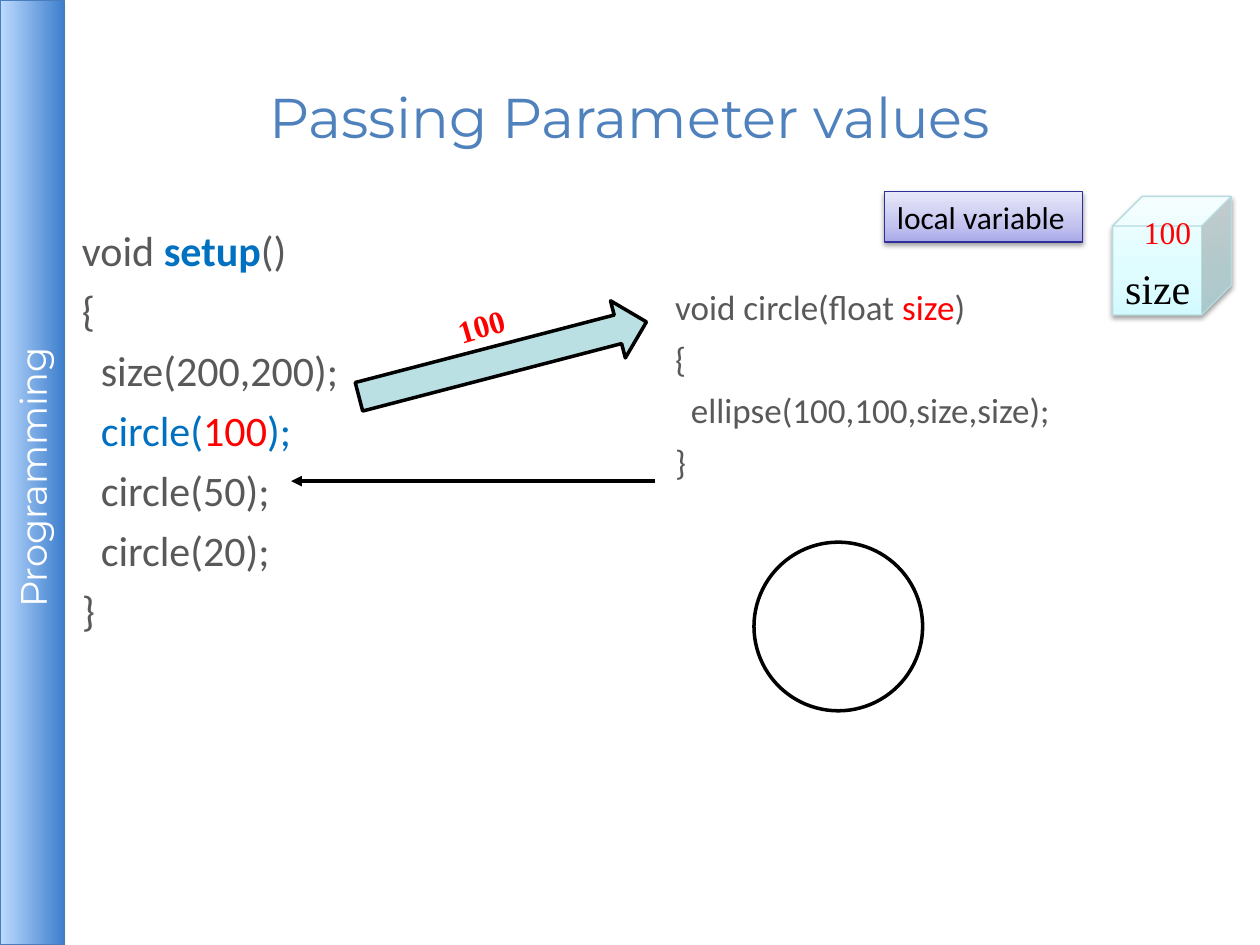
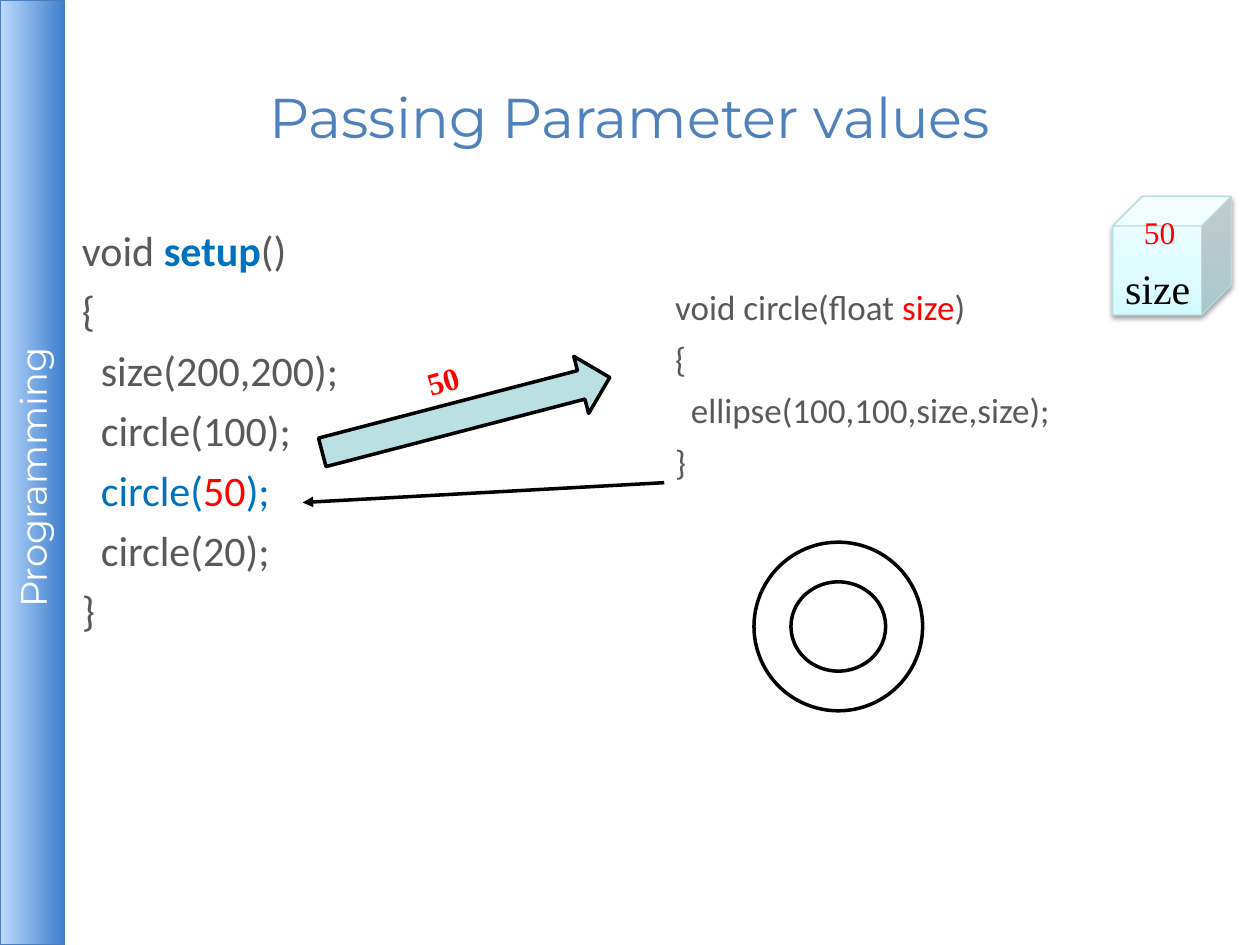
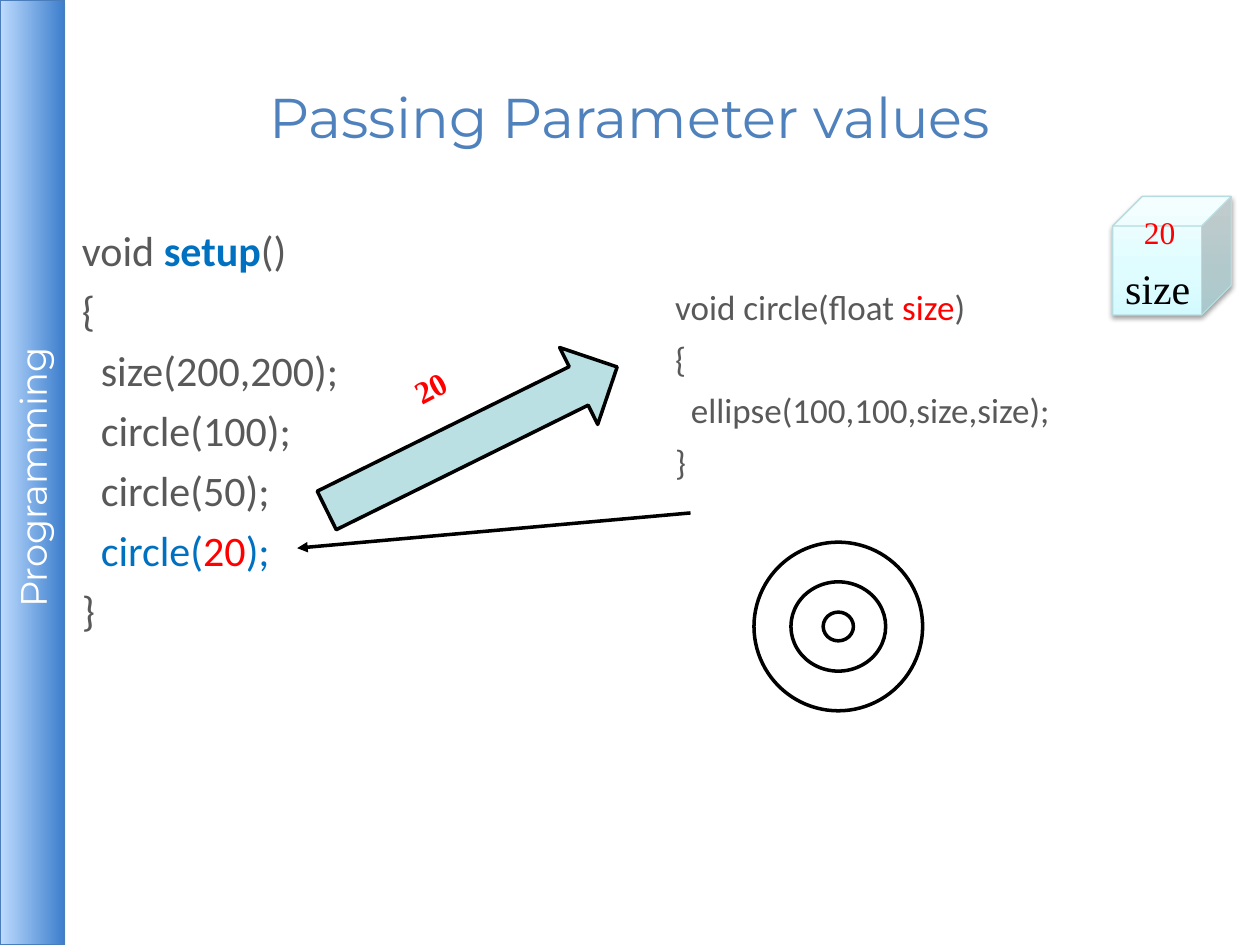
"""Build three slides that show how a parameter value reaches a function."""
from lxml import etree
from pptx import Presentation
from pptx.dml.color import RGBColor
from pptx.enum.shapes import MSO_CONNECTOR, MSO_SHAPE
from pptx.enum.text import MSO_ANCHOR, PP_ALIGN
from pptx.oxml.ns import qn
from pptx.util import Cm, Pt

RECT, CUBE = MSO_SHAPE.RECTANGLE, MSO_SHAPE.CUBE
OVAL, ARROW = MSO_SHAPE.OVAL, MSO_SHAPE.RIGHT_ARROW
LINE = MSO_CONNECTOR.STRAIGHT
TOP, MIDDLE = MSO_ANCHOR.TOP, MSO_ANCHOR.MIDDLE
LEFT, CENTER = PP_ALIGN.LEFT, PP_ALIGN.CENTER

BLACK = RGBColor(0x00, 0x00, 0x00)
WHITE = RGBColor(0xFF, 0xFF, 0xFF)
GREY = RGBColor(0x59, 0x59, 0x59)
RED = RGBColor(0xFF, 0x00, 0x00)
BLUE = RGBColor(0x00, 0x70, 0xC0)
TITLE = RGBColor(0x4F, 0x81, 0xBD)
TEAL = RGBColor(0xBB, 0xE0, 0xE3)
BAND_EDGE = RGBColor(0x4A, 0x7D, 0xBB)
CUBE_EDGE = RGBColor(0xB6, 0xDC, 0xDF)
NOTE_EDGE = RGBColor(0x2F, 0x2F, 0x98)

BAND_FILL = [(0, "BDDBFE"), (100, "3E7FCD")]
CUBE_FILL = [(0, "D3FBFF"), (35, "DFFCFF"), (100, "F2FEFF")]
NOTE_FILL = [(0, "A9A9E9"), (35, "C4C4EF"), (100, "E8E8FA")]

HEAD, CODE, SERIF = "Montserrat", "Calibri", "Times New Roman"
TIGHT = (0.1, 0.1)
LOOSE = (0.25, 0.13)

CALLS = ["100", "50", "20"]
FUNCTION = [
    [("void circle(float ", GREY), ("size", RED), (")", GREY)],
    [("{", GREY)],
    [("  ellipse(100,100,size,size);", GREY)],
    [("}", GREY)],
]
HUB = (16.9, 12.63)
RINGS = [(3.4, 3.4), (1.91, 1.8), (0.61, 0.58)]
STEPS = [
    {"value": "100", "wide": 1.47, "note": "local variable",
     "arrow": (7.14, 6.65, 5.99, 1.19), "turn": 345.4,
     "label": (8.97, 6.05, 1.47, 1.02), "tilt": 343.8,
     "back": (13.21, 9.7, 5.87, 9.7)},
    {"value": "50", "wide": 1.14, "note": None,
     "arrow": (6.4, 7.77, 5.99, 1.19), "turn": 345.4,
     "label": (8.36, 7.16, 1.14, 1.02), "tilt": 343.8,
     "back": (13.39, 9.73, 6.1, 10.13)},
    {"value": "20", "wide": 1.14, "note": None,
     "arrow": (6.25, 7.98, 6.53, 1.73), "turn": 333.7,
     "label": (8.2, 7.24, 1.24, 1.47), "tilt": 332,
     "back": (13.92, 10.34, 5.99, 11.05)},
]


def write(shape, lines, font, size, pad=TIGHT, align=LEFT, anchor=TOP,
          wrap=True, bold=False):
    frame = shape.text_frame
    frame.word_wrap = wrap
    frame.vertical_anchor = anchor
    frame.margin_left = frame.margin_right = Cm(pad[0])
    frame.margin_top = frame.margin_bottom = Cm(pad[1])
    for row, parts in enumerate(lines):
        para = frame.add_paragraph() if row else frame.paragraphs[0]
        para.alignment = align
        if row:
            para.space_before = Pt(5.5)
        for text, color, *strong in parts:
            run = para.add_run()
            run.text = text
            run.font.name = font
            run.font.size = Pt(size)
            run.font.bold = bold or bool(strong)
            run.font.color.rgb = color


def box(slide, at, lines, font, size, turn=0, **style):
    shape = slide.shapes.add_textbox(*map(Cm, at))
    shape.rotation = turn
    write(shape, lines, font, size, **style)


def tag(slide, at, text, color, size=18, turn=0, bold=False):
    box(slide, at, [[(text, color)]], SERIF, size, turn,
        pad=LOOSE, wrap=False, bold=bold)


def draw(slide, kind, at, edge=BLACK, width=2, fill=WHITE, turn=0):
    shape = slide.shapes.add_shape(kind, *map(Cm, at))
    shape.rotation = turn
    shape.shadow.inherit = False
    shape.line.color.rgb = edge
    shape.line.width = Pt(width)
    shape.fill.solid()
    shape.fill.fore_color.rgb = fill
    return shape


def shade(shape, stops, angle, alpha, blur, drop):
    shape.fill.gradient()
    shape.fill.gradient_angle = angle
    props = shape.element.spPr
    ramp = props.find(qn("a:gradFill")).find(qn("a:gsLst"))
    for old in list(ramp):
        ramp.remove(old)
    for place, color in stops:
        stop = etree.SubElement(ramp, qn("a:gs"), pos=str(place * 1000))
        etree.SubElement(stop, qn("a:srgbClr"), val=color)
    cast = etree.SubElement(
        props.find(qn("a:effectLst")), qn("a:outerShdw"),
        blurRad=str(Pt(blur)), dist=str(Pt(drop)), dir="5400000",
        rotWithShape="0")
    tone = etree.SubElement(cast, qn("a:srgbClr"), val=str(BLACK))
    etree.SubElement(tone, qn("a:alpha"), val=str(alpha * 1000))


def link(slide, ends):
    wire = slide.shapes.add_connector(LINE, *map(Cm, ends))
    wire.line.color.rgb = BLACK
    wire.line.width = Pt(2)
    props = wire.element.spPr
    etree.SubElement(props.find(qn("a:ln")), qn("a:tailEnd"), type="triangle")
    etree.SubElement(props, qn("a:effectLst"))


def setup_code(value):
    lines = [
        [("void ", GREY), ("setup", BLUE, True), ("()", GREY)],
        [("{", GREY)],
        [("  size(200,200);", GREY)],
    ]
    for call in CALLS:
        tone, mark = (BLUE, RED) if call == value else (GREY, GREY)
        lines.append([("  circle(", tone), (call, mark), (");", tone)])
    return lines + [[("}", GREY)]]


def frame_slide(slide):
    band = draw(slide, RECT, (0, 0, 1.3, 19.05), BAND_EDGE, 0.75)
    shade(band, BAND_FILL, 0, 35, 0, 1.8)
    write(band, [[("Programming ", WHITE)]], HEAD, 21,
          align=CENTER, anchor=MIDDLE)
    band.text_frame._txBody.bodyPr.set("vert", "vert270")
    box(slide, (1.27, 0.76, 22.86, 3.18),
        [[("Passing Parameter values", TITLE)]], HEAD, 32,
        align=CENTER, anchor=MIDDLE)


def build(slide, count, step):
    value = step["value"]
    frame_slide(slide)
    box(slide, (1.55, 4.42, 22.58, 13.31), setup_code(value), CODE, 24)
    box(slide, (13.51, 5.66, 11.89, 11.36), FUNCTION, CODE, 20)

    cube = draw(slide, CUBE, (22.43, 3.96, 2.39, 2.39), CUBE_EDGE, 0.75)
    shade(cube, CUBE_FILL, 90, 38, 3.1, 1.6)
    tag(slide, (22.43, 5.16, 1.83, 1.27), "size", BLACK, 24)
    tag(slide, (22.81, 4.17, step["wide"], 1.02), value, RED)

    if step["note"]:
        note = draw(slide, RECT, (17.83, 3.86, 3.99, 1.02), NOTE_EDGE, 0.75)
        shade(note, NOTE_FILL, 90, 38, 3.1, 1.6)
        write(note, [[(step["note"], BLACK)]], CODE, 18, pad=LOOSE, wrap=False)

    for wide, high in RINGS[:count]:
        draw(slide, OVAL, (HUB[0] - wide / 2, HUB[1] - high / 2, wide, high))

    draw(slide, ARROW, step["arrow"], fill=TEAL, turn=step["turn"])
    tag(slide, step["label"], value, RED, turn=step["tilt"], bold=True)
    link(slide, step["back"])


def main():
    deck = Presentation()
    deck.slide_width, deck.slide_height = Cm(25.4), Cm(19.05)
    for count, step in enumerate(STEPS, 1):
        build(deck.slides.add_slide(deck.slide_layouts[6]), count, step)
    deck.save("out.pptx")


if __name__ == "__main__":
    main()
